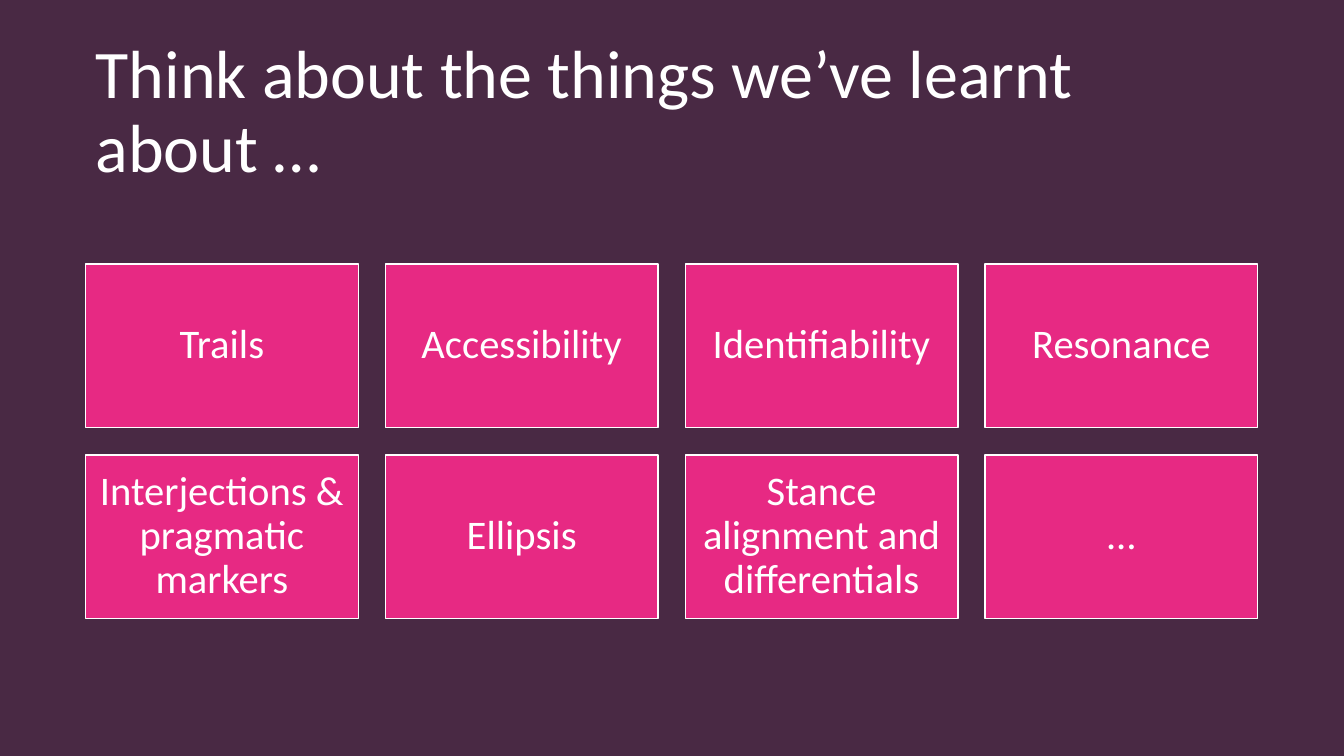
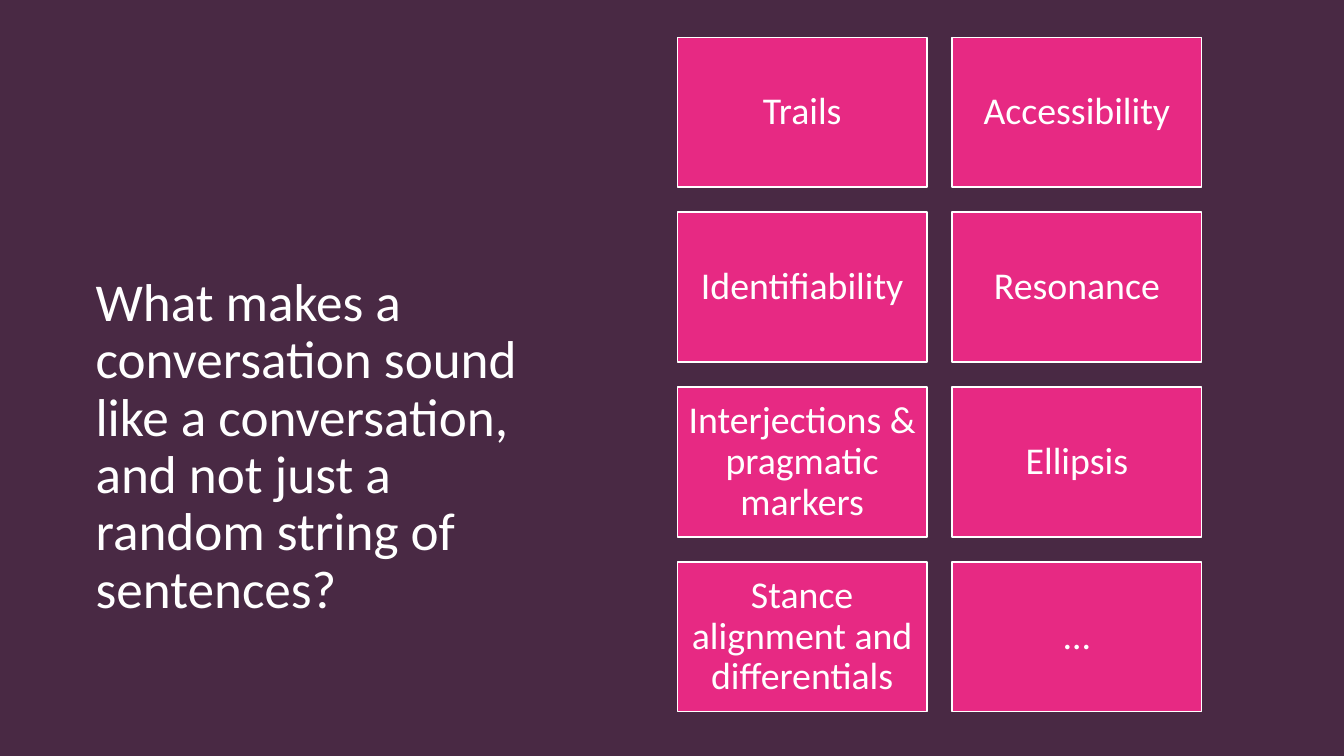
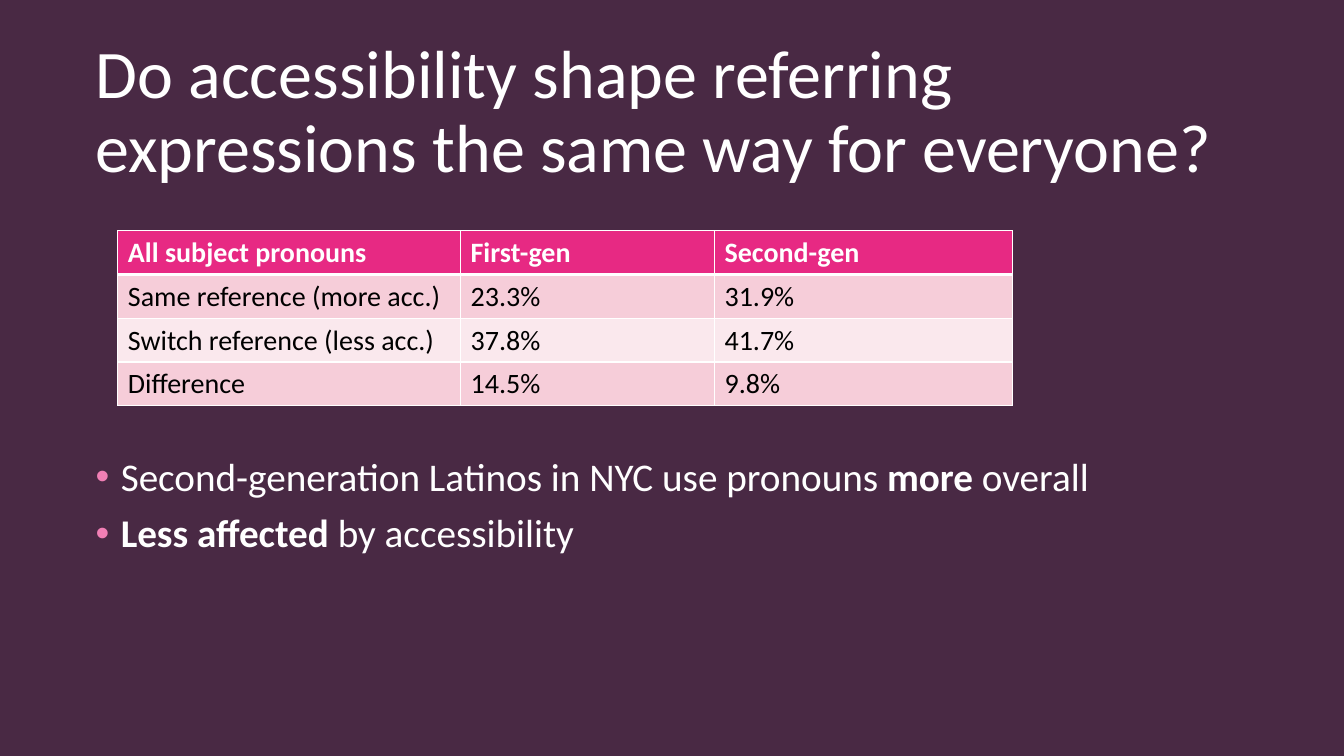
from lxml.etree import SubElement
from pptx import Presentation
from pptx.dml.color import RGBColor
from pptx.enum.shapes import MSO_SHAPE
from pptx.enum.text import MSO_ANCHOR, PP_ALIGN
from pptx.oxml.ns import qn
from pptx.util import Pt

WIDTH, HEIGHT = 960, 540
LEFT = 61.2
TITLE_WIDTH = 834
TOPICS = [
    "Trails", "Accessibility", "Identifiability", "Resonance",
    "Interjections & pragmatic markers", "Ellipsis",
    "Stance alignment and differentials", "…",
]
PRONOUNS = [
    ["All subject pronouns", "First-gen", "Second-gen"],
    ["Same reference (more acc.)", "23.3%", "31.9%"],
    ["Switch reference (less acc.)", "37.8%", "41.7%"],
    ["Difference", "14.5%", "9.8%"],
]
FINDINGS = [
    [("Second-generation Latinos in NYC use pronouns ", False), ("more", True), (" overall", False)],
    [("Less affected ", True), ("by accessibility", False)],
]


def rgb(value):
    return RGBColor.from_string(value)


def apply(target, values):
    for name, value in values.items():
        setattr(target, name, value)


class Deck:
    font = "Calibri"
    backdrop, veil = "301B2D", "4C2B47"
    accent, bullet = "E72983", "F17FB5"
    light, dark = "FFFFFF", "000000"
    bands = ["F6CDD9", "FAE8ED"]

    def __init__(self):
        self.prs = Presentation()
        apply(self.prs, {"slide_width": Pt(WIDTH), "slide_height": Pt(HEIGHT)})
        fill = self.prs.slide_master.background.fill
        fill.solid()
        fill.fore_color.rgb = rgb(self.backdrop)
        self.s = None

    def add_slide(self):
        self.s = self.prs.slides.add_slide(self.prs.slide_layouts[6])
        sp = self.rect(0, 0, WIDTH, HEIGHT, self.veil)
        color = sp._element.spPr.find(qn("a:solidFill"))[0]
        SubElement(color, qn("a:alpha"), val="90000")

    def rect(self, x, y, w, h, fill, line=None):
        sp = self.s.shapes.add_shape(MSO_SHAPE.RECTANGLE, Pt(x), Pt(y), Pt(w), Pt(h))
        sp.shadow.inherit = False
        sp.fill.solid()
        sp.fill.fore_color.rgb = rgb(fill)
        if line:
            sp.line.color.rgb = rgb(line)
            sp.line.width = Pt(1)
        else:
            sp.line.fill.background()
        return sp

    def add_text(self, p, runs, size, color, **layout):
        apply(p, layout)
        for text, bold in runs:
            r = p.add_run()
            r.text = text
            apply(r.font, {"name": self.font, "size": Pt(size), "bold": bold})
            r.font.color.rgb = rgb(color)

    def box(self, x, y, w, h, anchor):
        tf = self.s.shapes.add_textbox(Pt(x), Pt(y), Pt(w), Pt(h)).text_frame
        apply(tf, {"word_wrap": True, "vertical_anchor": anchor})
        return tf

    def title(self, text, y=28.8, w=TITLE_WIDTH, h=104.4, size=48.6, anchor=MSO_ANCHOR.MIDDLE):
        tf = self.box(LEFT, y, w, h, anchor)
        self.add_text(tf.paragraphs[0], [(text, False)], size, self.light, line_spacing=0.9)

    def tiles(self, labels, x, y, columns, w, size):
        h, gap, inset = 0.6 * w, 0.1 * w, Pt(0.3 * size)
        for i, label in enumerate(labels):
            row, column = divmod(i, columns)
            sp = self.rect(x + column * (w + gap), y + row * (h + gap), w, h, self.accent, self.light)
            tf = sp.text_frame
            apply(tf, {"word_wrap": True, "vertical_anchor": MSO_ANCHOR.MIDDLE,
                       "margin_left": inset, "margin_right": inset,
                       "margin_top": inset, "margin_bottom": inset})
            self.add_text(tf.paragraphs[0], [(label, False)], size, self.light,
                          alignment=PP_ALIGN.CENTER, line_spacing=0.9)

    def border(self, cell, widths):
        tcPr = cell._tc.get_or_add_tcPr()
        for side, width in widths.items():
            ln = SubElement(tcPr, qn("a:ln" + side), w=str(int(Pt(width))))
            SubElement(SubElement(ln, qn("a:solidFill")), qn("a:srgbClr"), val=self.light)

    def table(self, rows, x, y, widths, row_height):
        frame = self.s.shapes.add_table(len(rows), len(widths), Pt(x), Pt(y),
                                        Pt(sum(widths)), Pt(row_height * len(rows)))
        tbl = frame.table
        for column, width in zip(tbl.columns, widths):
            column.width = Pt(width)
        for i, row in enumerate(rows):
            header = i == 0
            tbl.rows[i].height = Pt(row_height)
            for j, text in enumerate(row):
                cell = tbl.cell(i, j)
                self.border(cell, {"L": 1, "R": 1, "T": 3 if i == 1 else 1, "B": 3 if header else 1})
                cell.fill.solid()
                cell.fill.fore_color.rgb = rgb(self.accent if header else self.bands[(i - 1) % 2])
                self.add_text(cell.text_frame.paragraphs[0], [(text, header)], 20,
                              self.light if header else self.dark)

    def bullets(self, items, x, y, w, h, size):
        tf = self.box(x, y, w, h, MSO_ANCHOR.TOP)
        for i, runs in enumerate(items):
            p = tf.add_paragraph() if i else tf.paragraphs[0]
            pPr = p._p.get_or_add_pPr()
            for name, indent in {"marL": 18, "indent": -18}.items():
                pPr.set(name, str(int(Pt(indent))))
            SubElement(SubElement(pPr, qn("a:buClr")), qn("a:srgbClr"), val=self.bullet)
            SubElement(pPr, qn("a:buFont"), typeface="Arial")
            SubElement(pPr, qn("a:buChar"), char="•")
            self.add_text(p, runs, size, self.light, line_spacing=0.9, space_before=Pt(10 if i else 0))


def main():
    deck = Deck()

    deck.add_slide()
    deck.title("Think about the things we’ve learnt about …")
    deck.tiles(TOPICS, LEFT, 188.6, columns=4, w=194.7, size=29)

    deck.add_slide()
    deck.title("What makes a conversation sound like a conversation, "
               "and not just a random string of sentences?",
               y=88.6, w=324, h=357.8, size=38, anchor=MSO_ANCHOR.BOTTOM)
    deck.tiles(TOPICS, 483.8, 26.7, columns=2, w=178.4, size=27)

    deck.add_slide()
    deck.title("Do accessibility shape referring expressions the same way for everyone?")
    deck.table(PRONOUNS, 84.2, 164.9, [244.8, 181.4, 213.1], 31.2)
    deck.bullets(FINDINGS, LEFT, 323.3, TITLE_WIDTH, 87.8, 28)

    deck.prs.save("out.pptx")


if __name__ == "__main__":
    main()
